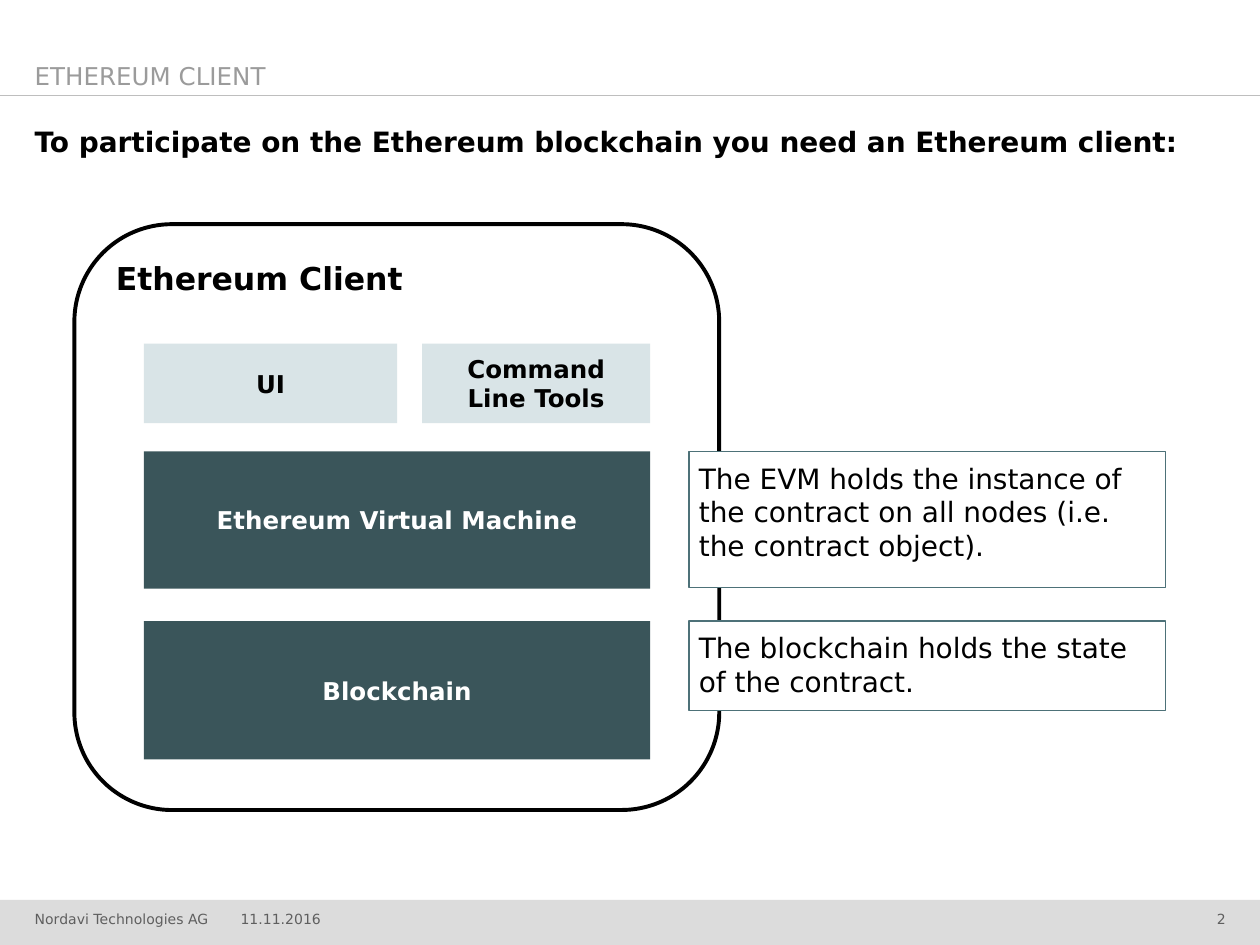
"""Builds the slide that explains the parts of an Ethereum client."""
import pptx
import pptx.util
import pptx.dml.color
import pptx.enum.shapes
import pptx.enum.text
import pptx.oxml

Cm, Pt = pptx.util.Cm, pptx.util.Pt
SHAPE = pptx.enum.shapes.MSO_SHAPE
ANCHOR = pptx.enum.text.MSO_ANCHOR
ALIGN = pptx.enum.text.PP_ALIGN

FONT = "DejaVu Sans"
COLORS = {
    "black": "000000", "white": "FFFFFF", "topic": "9B9B9B", "rule": "BEBEBE",
    "footer": "DCDCDC", "footer_text": "5F5F5F", "tool": "D9E4E7",
    "core": "3A555A", "note_line": "4D7178",
}
WIDTH, HEIGHT = 25.4, 19.05
MARGIN = 0.7
FOOTER_TOP, FOOTER_H = 18.14, 0.91
STACK_LEFT, STACK_W = 2.9, 10.21
NOTE_LEFT, NOTE_W = 13.89, 9.6
TOOL_TOP, TOOL_H, TOOL_GAP = 6.93, 1.6, 0.5

TOPIC = "ETHEREUM CLIENT"
TITLE = "To participate on the Ethereum blockchain you need an Ethereum client:"
CLIENT = "Ethereum Client"
TOOLS = [("UI", 5.11), ("Command Line Tools", 4.6)]
LAYERS = [
    ("Ethereum Virtual Machine", 9.1, 2.77,
     "The EVM holds the instance of the contract on all nodes (i.e. the contract object).", 2.75),
    ("Blockchain", 12.52, 2.79,
     "The blockchain holds the state of the contract.", 1.8),
]
FOOTER = [
    ("Nordavi Technologies AG", MARGIN, 3.81, ALIGN.LEFT),
    ("11.11.2016", 4.85, 2.03, ALIGN.LEFT),
    ("2", 22.91, 1.8, ALIGN.RIGHT),
]


def rgb(name):
    return pptx.dml.color.RGBColor.from_string(COLORS[name])


def write(sp, text, size=14, color="black", bold=False, align=ALIGN.LEFT,
          anchor=ANCHOR.TOP, insets=(0.26, 0.13, 0.26, 0.13)):
    tf = sp.text_frame
    tf.word_wrap = True
    tf.vertical_anchor = anchor
    tf.margin_left, tf.margin_top, tf.margin_right, tf.margin_bottom = map(Cm, insets)
    p = tf.paragraphs[0]
    p.alignment = align
    r = p.add_run()
    r.text = text
    r.font.name, r.font.size, r.font.bold = FONT, Pt(size), bold
    r.font.color.rgb = rgb(color)


def add_box(slide, box, fill, line=None, weight=0.75, kind=SHAPE.RECTANGLE):
    sp = slide.shapes.add_shape(kind, *map(Cm, box))
    sp.shadow.inherit = False
    sp.fill.solid()
    sp.fill.fore_color.rgb = rgb(fill)
    if line:
        sp.line.color.rgb = rgb(line)
        sp.line.width = Pt(weight)
    else:
        sp.line.fill.background()
    return sp


def add_label(slide, box, text, **style):
    write(slide.shapes.add_textbox(*map(Cm, box)), text, **style)


def add_block(slide, box, text, fill, color):
    write(add_box(slide, box, fill), text, color=color, bold=True,
          align=ALIGN.CENTER, anchor=ANCHOR.MIDDLE)


def add_frame(slide):
    add_box(slide, (0, FOOTER_TOP, WIDTH, FOOTER_H), "footer")
    for text, left, width, align in FOOTER:
        add_label(slide, (left, FOOTER_TOP, width, FOOTER_H), text, size=8,
                  color="footer_text", align=align, anchor=ANCHOR.BOTTOM,
                  insets=(0, 0, 0, 0.36))
    rule = slide.shapes.add_connector(
        pptx.enum.shapes.MSO_CONNECTOR.STRAIGHT, Cm(WIDTH), Cm(1.93), Cm(0), Cm(1.93))
    rule.line.color.rgb = rgb("rule")
    rule.line.width = Pt(0.75)
    rule._element.spPr.append(pptx.oxml.parse_xml(
        '<a:effectLst xmlns:a="http://schemas.openxmlformats.org/drawingml/2006/main"/>'))
    add_label(slide, (MARGIN, 0.74, 19, 1.19), TOPIC, color="topic",
              anchor=ANCHOR.BOTTOM, insets=(0, 0, 0, 0.1))
    add_label(slide, (MARGIN, 2.51, 24, 1.4), TITLE, size=16, bold=True,
              insets=(0, 0, 0, 0))


def add_client(slide):
    client = add_box(slide, (1.5, 4.52, 13, 11.81), "white", "black", 2.25,
                     SHAPE.ROUNDED_RECTANGLE)
    write(client, CLIENT, size=18, bold=True)
    left = STACK_LEFT
    for text, width in TOOLS:
        add_block(slide, (left, TOOL_TOP, width, TOOL_H), text, "tool", "black")
        left += width + TOOL_GAP
    for text, top, height, note, note_h in LAYERS:
        add_block(slide, (STACK_LEFT, top, STACK_W, height), text, "core", "white")
        sp = add_box(slide, (NOTE_LEFT, top, NOTE_W, note_h), "white", "note_line")
        write(sp, note, size=16, insets=(0.2, 0.2, 0.2, 0.2))


def main():
    prs = pptx.Presentation()
    prs.slide_width, prs.slide_height = Cm(WIDTH), Cm(HEIGHT)
    slide = prs.slides.add_slide(prs.slide_layouts[6])
    add_frame(slide)
    add_client(slide)
    prs.save("out.pptx")


if __name__ == "__main__":
    main()
